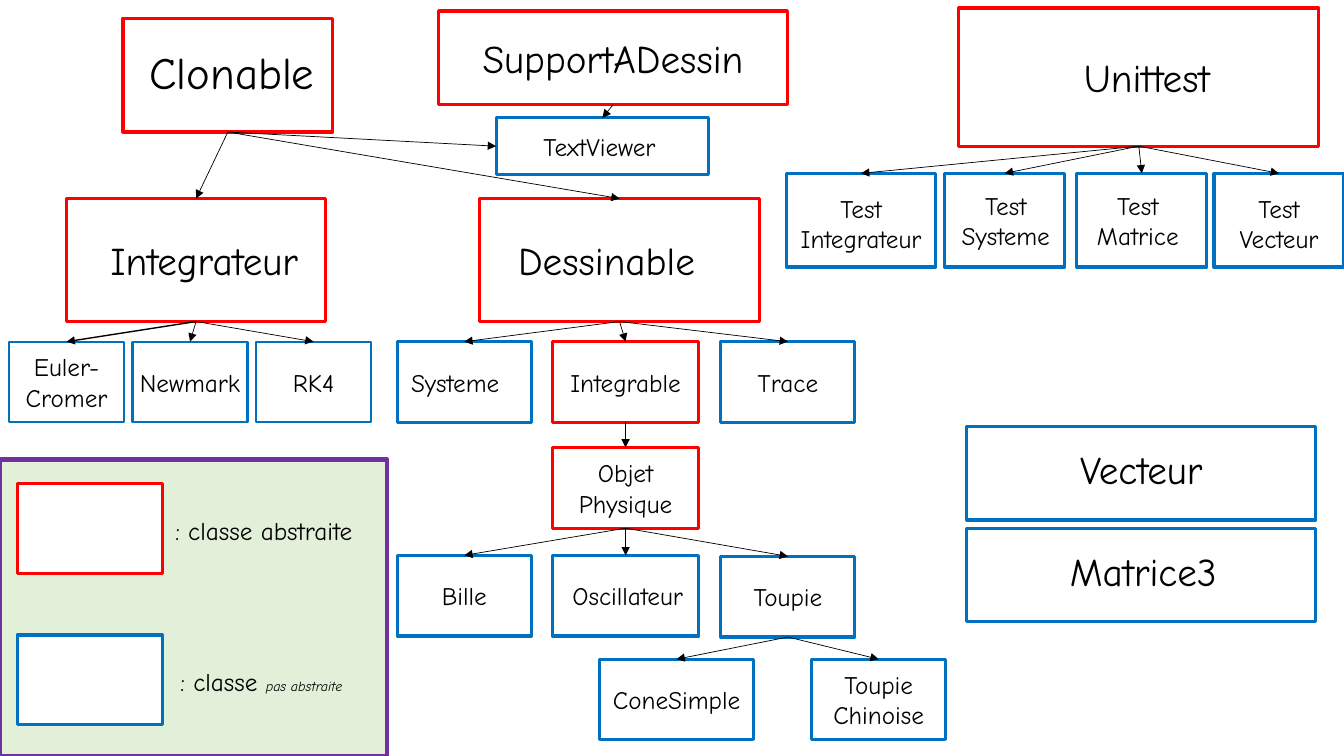
from pptx import Presentation
from pptx.dml.color import RGBColor
from pptx.enum.shapes import MSO_CONNECTOR, MSO_SHAPE
from pptx.enum.text import MSO_ANCHOR, PP_ALIGN
from pptx.oxml.ns import qn
from pptx.util import Inches, Pt
from lxml import etree

RECT = MSO_SHAPE.RECTANGLE
LINE = MSO_CONNECTOR.STRAIGHT
MIDDLE = MSO_ANCHOR.MIDDLE
LEFT, CENTER = PP_ALIGN.LEFT, PP_ALIGN.CENTER
TOP_SITE, LEFT_SITE, BASE_SITE = 0, 1, 2
FONT = "Comic Neue"
COLORS = {"abstract": "FF0000", "concrete": "0070C0", "frame": "7030A0",
          "legend": "E2F0D9", "paper": "FFFFFF", "ink": "000000"}


def color(name):
    return RGBColor.from_string(COLORS[name])


def style(frame, size, align):
    """Format every run of a text frame."""
    for para in frame.paragraphs:
        para.alignment = align
        for run in para.runs:
            run.font.name = FONT
            run.font.size = Pt(size)
            run.font.color.rgb = color("ink")


def card(slide, box, at, kind, text="", size=18, shift=(0, 0),
         width=2.25, fill="paper"):
    """Class box placed relative to its region; shift nudges the label."""
    x, y, w, h = at
    shape = slide.shapes.add_shape(RECT, Inches(box[0] + x), Inches(box[1] + y),
                                   Inches(w), Inches(h))
    shape.shadow.inherit = False
    shape.fill.solid()
    shape.fill.fore_color.rgb = color(fill)
    shape.line.color.rgb = color(kind)
    shape.line.width = Pt(width)
    if text:
        frame = shape.text_frame
        frame.word_wrap = True
        frame.vertical_anchor = MIDDLE
        dx, dy = shift
        frame.margin_left = Inches(0.05 + max(0, 2 * dx))
        frame.margin_right = Inches(0.05 + max(0, -2 * dx))
        frame.margin_top = Inches(max(0, 2 * dy))
        frame.margin_bottom = Inches(max(0, -2 * dy))
        frame.text = text
        style(frame, size, CENTER)
    return shape


def arrow(slide, start, end, site=TOP_SITE, width=0.5):
    """Arrow glued from the base of one card to a site of another."""
    link = slide.shapes.add_connector(LINE, 0, 0, 0, 0)
    link.begin_connect(start, BASE_SITE)
    link.end_connect(end, site)
    link.line.color.rgb = color("ink")
    link.line.width = Pt(width)
    etree.SubElement(link.line._get_or_add_ln(), qn("a:tailEnd"), type="triangle")
    etree.SubElement(link._element.spPr, qn("a:effectLst"))


def solvers(slide, box):
    root = card(slide, box, (0.57, 0, 2.57, 1.22), "abstract",
                "Integrateur", 28, (0.08, 0))
    for i, name in enumerate(("Euler-Cromer", "Newmark", "RK4")):
        leaf = card(slide, box, (1.225 * i, 1.42, 1.14, 0.8), "concrete",
                    name, width=1.5)
        arrow(slide, root, leaf, width=0.5 if i else 1)
    return root


def drawings(slide, box):
    # Columns shared by the two rows of three
    cols = ((0, 1.33), (1.54, 1.45), (3.21, 1.33))

    def cell(col, y, kind, name, shift=(0, 0)):
        x, w = cols[col]
        return card(slide, box, (x, y, w, 0.8), kind, name, shift=shift)

    root = card(slide, box, (0.82, 0, 2.77, 1.22), "abstract",
                "Dessinable", 28, (-0.13, 0))
    system = cell(0, 1.42, "concrete", "Systeme", (-0.09, 0))
    solvable = cell(1, 1.42, "abstract", "Integrable")
    trace = cell(2, 1.42, "concrete", "Trace")
    body = cell(1, 2.47, "abstract", "Objet Physique")
    ball = cell(0, 3.54, "concrete", "Bille")
    spring = cell(1, 3.54, "concrete", "Oscillateur", (0.02, 0))
    top = cell(2, 3.55, "concrete", "Toupie")
    cone = card(slide, box, (2.01, 4.57, 1.52, 0.8), "concrete", "ConeSimple")
    china = card(slide, box, (4.11, 4.57, 1.33, 0.8), "concrete",
                 "Toupie\nChinoise")
    for start, ends in ((root, (system, solvable, trace)), (solvable, (body,)),
                        (body, (ball, spring, top)), (top, (cone, china))):
        for end in ends:
            arrow(slide, start, end)
    return root


def viewers(slide, box):
    root = card(slide, box, (0, 0, 3.46, 0.93), "abstract",
                "SupportADessin", 28)
    view = card(slide, box, (0.57, 1.06, 2.11, 0.56), "concrete",
                "TextViewer", shift=(-0.03, 0))
    arrow(slide, root, view)
    return view


def cloning(slide, box, solver, drawing, view):
    root = card(slide, box, (0, 0, 2.08, 1.13), "abstract",
                "Clonable", 32, (0.04, -0.03))
    arrow(slide, root, solver)
    arrow(slide, root, drawing)
    arrow(slide, root, view, LEFT_SITE)


def tests(slide, box):
    root = card(slide, box, (1.71, 0, 3.57, 1.37), "abstract",
                "Unittest", 28, (0.08, 0))
    for x, w, name, shift in ((0, 1.48, "Integrateur", (0, 0.03)),
                              (1.57, 1.19, "Systeme", (0.01, 0)),
                              (2.88, 1.29, "Matrice", (-0.04, 0)),
                              (4.24, 1.29, "Vecteur", (0, 0.03))):
        leaf = card(slide, box, (x, 1.64, w, 0.93), "concrete",
                    "Test\n" + name, shift=shift)
        arrow(slide, root, leaf)


def maths(slide, box):
    for i, name in enumerate(("Vecteur", "Matrice3")):
        card(slide, box, (0, 1.01 * i, 3.46, 0.93), "concrete", name, 28,
             (0.02 * i, -0.04))


def legend(slide, box):
    card(slide, box, (0, 0, 3.84, 2.94), "frame", width=3, fill="legend")
    rows = (("abstract", 1.64, (": classe abstraite",)),
            ("concrete", 1.69, (": classe ", "pas abstraite")))
    for i, (kind, x, parts) in enumerate(rows):
        y = 0.24 + 1.5 * i
        card(slide, box, (0.17, y, 1.44, 0.89), kind)
        note = slide.shapes.add_textbox(Inches(box[0] + x), Inches(box[1] + y + 0.26),
                                        Inches(2.33), Inches(0.4))
        frame = note.text_frame
        frame.word_wrap = True
        for part in parts:
            frame.paragraphs[0].add_run().text = part
        style(frame, 18, LEFT)
        for run in frame.paragraphs[0].runs[1:]:
            run.font.size = Pt(10)
            run.font.italic = True


deck = Presentation()
deck.slide_width, deck.slide_height = Inches(13.33), Inches(7.5)
page = deck.slides.add_slide(deck.slide_layouts[6])

# Class trees
solver = solvers(page, (0.09, 1.97))
drawing = drawings(page, (3.94, 1.97))
view = viewers(page, (4.35, 0.11))
cloning(page, (1.22, 0.18), solver, drawing, view)
tests(page, (7.8, 0.08))

# Standalone classes and key
maths(page, (9.59, 4.23))
legend(page, (0, 4.56))

deck.save("out.pptx")
